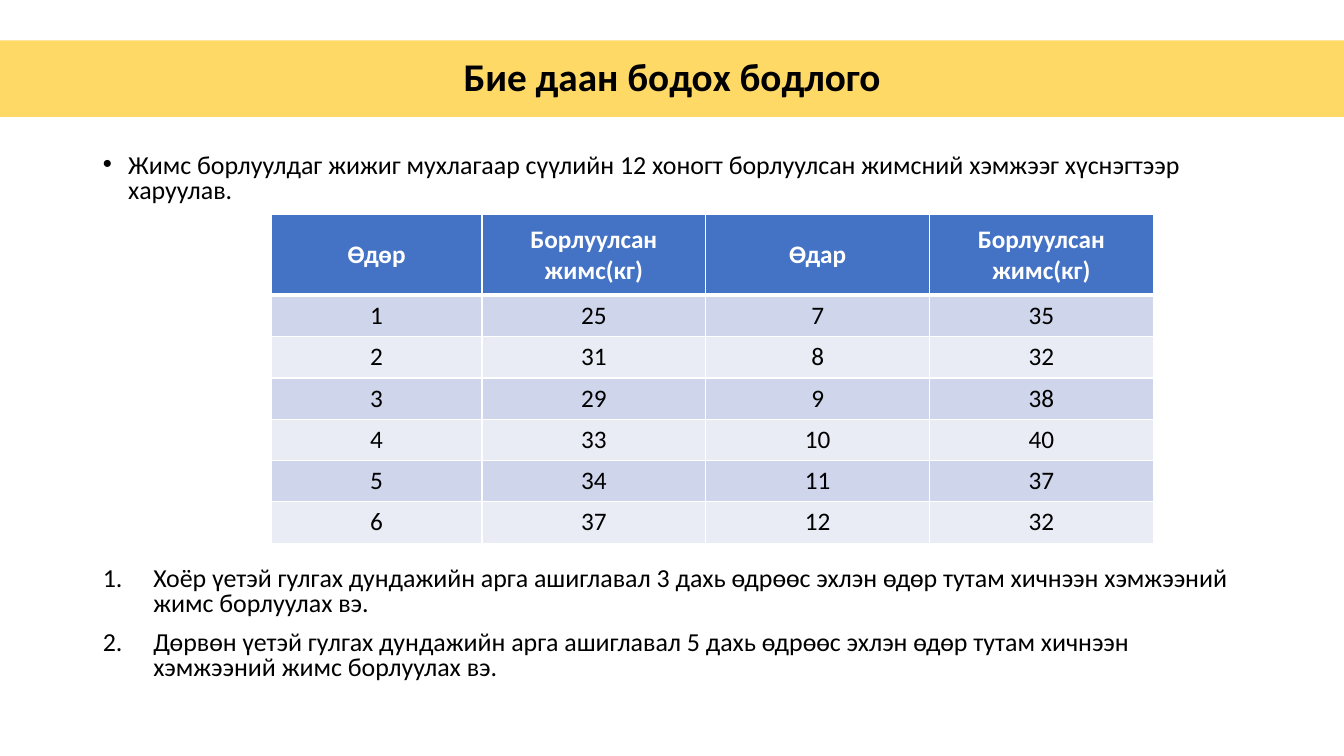
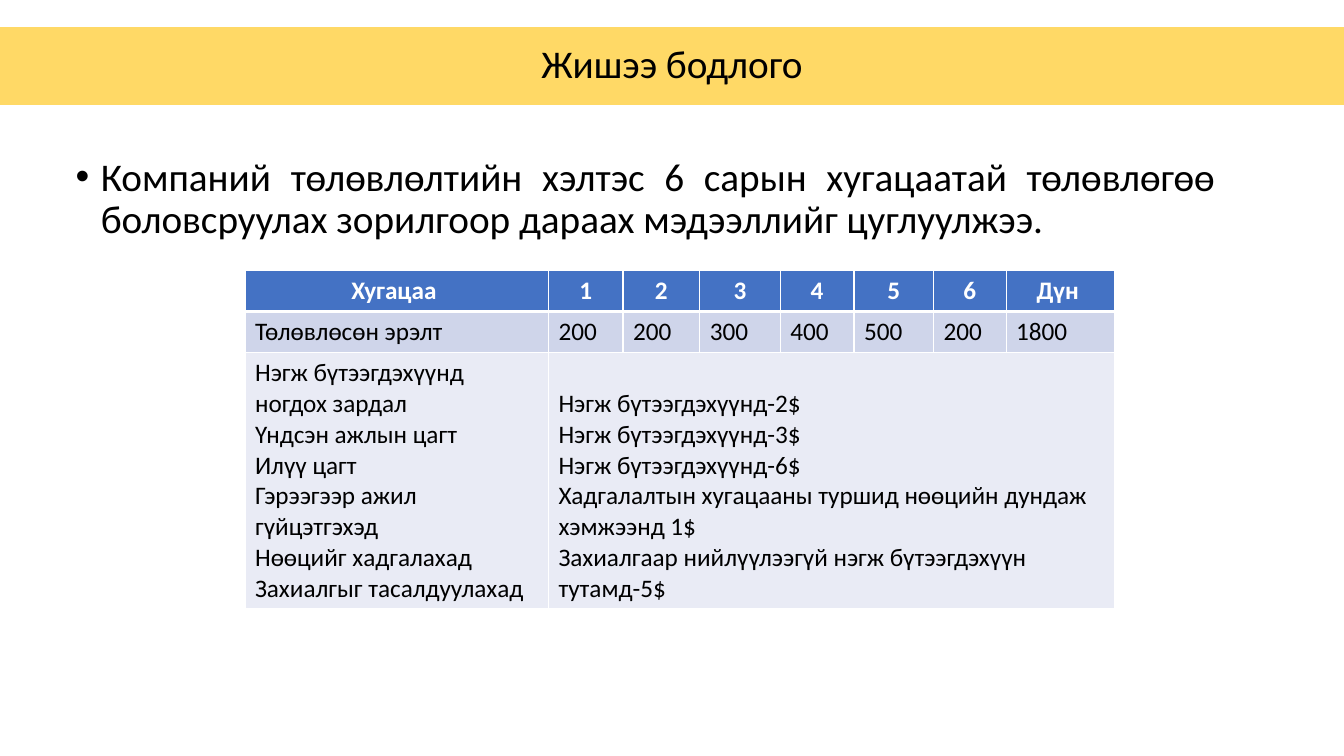
from lxml.etree import SubElement as Sub
from pptx import Presentation
from pptx.dml.color import RGBColor as Rgb
from pptx.enum.text import MSO_ANCHOR as Anchor, MSO_AUTO_SIZE as Fit, PP_ALIGN as Align
from pptx.oxml.ns import qn
from pptx.util import Inches, Pt

FONT = "Calibri"
COLORS = {"band": "FFD966", "head": "4472C4", "odd": "CFD5EA",
          "even": "E9EBF5", "text": "000000", "white": "FFFFFF"}

TASK = {
    "title": "Бие даан бодох бодлого",
    "bold": True,
    "band": (0.4, 0.76),
    "body": (0.92, 1.48, 11.5, 5.62),
    "size": 18.5,
    "line": 0.8,
    "align": Align.LEFT,
    "intro": "Жимс борлуулдаг жижиг мухлагаар сүүлийн 12 хоногт борлуулсан жимсний хэмжээг хүснэгтээр харуулав.",
    "steps": [
        "Хоёр үетэй гулгах дундажийн арга ашиглавал 3 дахь өдрөөс эхлэн өдөр тутам хичнээн хэмжээний жимс борлуулах вэ.",
        "Дөрвөн үетэй гулгах дундажийн арга ашиглавал 5 дахь өдрөөс эхлэн өдөр тутам хичнээн хэмжээний жимс борлуулах вэ.",
    ],
    "gap": 260,
    "place": (2.69, 2.13),
    "cols": [2.09] + [2.22] * 3,
    "rows": [0.8] + [0.41] * 6,
    "cell": Align.CENTER,
    "data": [
        ("Өдөр", "Борлуулсан жимс(кг)", "Өдар", "Борлуулсан жимс(кг)"),
        ("1", "25", "7", "35"),
        ("2", "31", "8", "32"),
        ("3", "29", "9", "38"),
        ("4", "33", "10", "40"),
        ("5", "34", "11", "37"),
        ("6", "37", "12", "32"),
    ],
}

COSTS = """Нэгж бүтээгдэхүүнд ногдох зардал
Үндсэн ажлын цагт
Илүү цагт
Гэрээгээр ажил гүйцэтгэхэд
Нөөцийг хадгалахад
Захиалгыг тасалдуулахад"""

RATES = """Нэгж бүтээгдэхүүнд-2$
Нэгж бүтээгдэхүүнд-3$
Нэгж бүтээгдэхүүнд-6$
Хадгалалтын хугацааны туршид нөөцийн дундаж хэмжээнд 1$
Захиалгаар нийлүүлээгүй нэгж бүтээгдэхүүн тутамд-5$"""

SAMPLE = {
    "title": "Жишээ бодлого",
    "bold": False,
    "band": (0.27, 0.77),
    "body": (0.65, 1.51, 11.5, 4.76),
    "size": 28,
    "line": 0.9,
    "align": Align.JUSTIFY,
    "intro": "Компаний төлөвлөлтийн хэлтэс 6 сарын хугацаатай төлөвлөгөө боловсруулах зорилгоор дараах мэдээллийг цуглуулжээ.",
    "steps": [],
    "gap": 0,
    "place": (2.43, 2.68),
    "cols": [3.01, 0.74, 0.76, 0.8, 0.73, 0.79, 0.72, 1.08],
    "rows": [0.41, 0.41, 2.54],
    "cell": Align.LEFT,
    "data": [
        ("Хугацаа ", "1", "2", "3", "4", "5", "6", "Дүн "),
        ("Төлөвлөсөн эрэлт", "200", "200", "300", "400", "500", "200", "1800"),
        (COSTS, RATES),
    ],
}


def color(name):
    return Rgb.from_string(COLORS[name])


def move(shape, *box):
    shape.left, shape.top, shape.width, shape.height = map(Inches, box)


def style(para, size, tone="text", bold=False):
    for run in para.runs:
        font = run.font
        font.name, font.size, font.bold = FONT, Pt(size), bold
        font.color.rgb = color(tone)


def mark(para, indent, tag, **attrs):
    props = para._p.get_or_add_pPr()
    props.set("marL", str(Inches(indent)))
    props.set("indent", str(-Inches(indent)))
    Sub(props, qn("a:buFont"), typeface="Arial" if tag == "a:buChar" else "+mj-lt")
    Sub(props, qn(tag), **attrs)


def add_title(slide, plan):
    title = slide.shapes.title
    top, height = plan["band"]
    move(title, 0, top, 13.33, height)
    title.fill.solid()
    title.fill.fore_color.rgb = color("band")
    frame = title.text_frame
    frame.text = plan["title"]
    frame.auto_size = Fit.NONE
    frame.vertical_anchor = Anchor.MIDDLE
    para = frame.paragraphs[0]
    para.alignment = Align.CENTER
    para.line_spacing = 0.9
    style(para, 28, bold=plan["bold"])


def add_body(slide, plan):
    body = slide.placeholders[1]
    move(body, *plan["body"])
    frame = body.text_frame
    frame.text = "\n".join([plan["intro"], *plan["steps"]])
    frame.auto_size = Fit.NONE
    for pos, para in enumerate(frame.paragraphs):
        if pos:
            mark(para, 0.5, "a:buAutoNum", type="arabicPeriod")
        else:
            mark(para, 0.25, "a:buChar", char="•")
        para.alignment = plan["align"]
        para.line_spacing = plan["line"]
        para.space_before = Pt((0, plan["gap"])[pos] if pos < 2 else 10)
        style(para, plan["size"])


def add_edges(cell, head):
    props = cell._tc.get_or_add_tcPr()
    for side in "LRTB":
        width = 3 if head and side == "B" else 1
        edge = Sub(props, qn(f"a:ln{side}"), w=str(Pt(width)))
        fill = Sub(edge, qn("a:solidFill"))
        Sub(fill, qn("a:srgbClr"), val=COLORS["white"])


def add_grid(slide, plan):
    cols, rows, data = plan["cols"], plan["rows"], plan["data"]
    box = (*plan["place"], sum(cols), sum(rows))
    table = slide.shapes.add_table(len(rows), len(cols), *map(Inches, box)).table
    for col, width in zip(table.columns, cols):
        col.width = Inches(width)
    for row, height in zip(table.rows, rows):
        row.height = Inches(height)
    for r, texts in enumerate(data):
        head = r == 0
        band = "head" if head else "odd" if r % 2 else "even"
        for c in range(len(cols)):
            cell = table.cell(r, c)
            add_edges(cell, head)
            cell.fill.solid()
            cell.fill.fore_color.rgb = color(band)
            if c >= len(texts):
                continue
            cell.text_frame.text = texts[c]
            cell.vertical_anchor = Anchor.MIDDLE if head else Anchor.TOP
            for para in cell.text_frame.paragraphs:
                para.alignment = Align.CENTER if head else plan["cell"]
                style(para, 18, "white" if head else "text", head)
        if len(texts) < len(cols):
            last = table.cell(r, len(texts) - 1)
            last.merge(table.cell(r, len(cols) - 1))
            last.vertical_anchor = Anchor.BOTTOM


def main():
    deck = Presentation()
    deck.slide_width, deck.slide_height = Inches(13.33), Inches(7.5)
    for plan in (TASK, SAMPLE):
        slide = deck.slides.add_slide(deck.slide_layouts[1])
        add_title(slide, plan)
        add_body(slide, plan)
        add_grid(slide, plan)
    deck.save("out.pptx")


if __name__ == "__main__":
    main()
